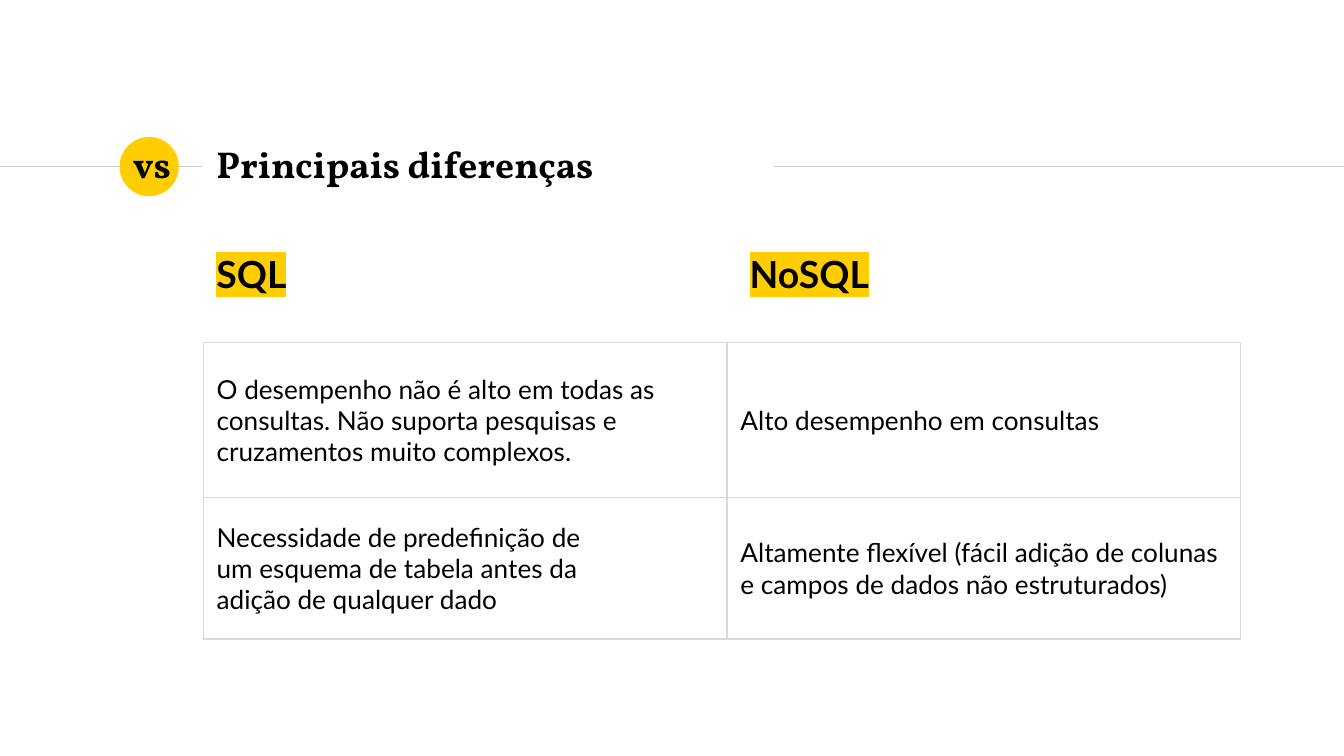
import pptx
import pptx.dml.color
import pptx.enum.shapes
import pptx.enum.text
import pptx.oxml
import pptx.oxml.ns
import pptx.util
from dataclasses import dataclass

Cm = pptx.util.Cm
Anchor = pptx.enum.text.MSO_ANCHOR


@dataclass(frozen=True)
class Theme:
    ink: str = "000000"
    accent: str = "FFCD00"
    rule: str = "CCCCCC"
    border: str = "D9D9D9"
    heading_font: str = "Vollkorn"
    body_font: str = "Lato"
    heading_size: int = 20
    body_size: int = 14
    line_width: float = 0.75


theme = Theme()

# Content
badge_text = "vs"
title_text = "Principais diferenças"
column_titles = ["SQL", "NoSQL"]
comparison = [
    ("O desempenho não é alto em todas as consultas. "
     "Não suporta pesquisas e cruzamentos muito complexos.",
     "Alto desempenho em consultas"),
    ("Necessidade de predefinição de\num esquema de tabela antes da\nadição de qualquer dado",
     "Altamente flexível (fácil adição de colunas e campos de dados não estruturados)"),
]

# Layout in centimetres
slide_width, slide_height = 25.4, 14.29
left = 3.84
rule_y = 3.15
rules = [(0, 3.81), (14.63, slide_width)]
badge_left, badge_size = 2.26, 1.12
column_gap = 10.08
column_widths = [9.9, 9.71]
row_heights = [2.93, 2.67]


def color(value):
    return pptx.dml.color.RGBColor.from_string(value)


def write(frame, text, *, font=theme.body_font, size=theme.body_size,
          bold=False, highlight=None, before=0):
    para = frame.paragraphs[0]
    para.space_before = pptx.util.Pt(before)
    for index, line in enumerate(text.split("\n")):
        if index:
            para.add_line_break()
        span = para.add_run()
        span.text = line
        span.font.name = font
        span.font.size = pptx.util.Pt(size)
        span.font.bold = bold
        span.font.color.rgb = color(theme.ink)
        if highlight:
            mark = pptx.oxml.parse_xml(
                f'<a:highlight {pptx.oxml.ns.nsdecls("a")}>'
                f'<a:srgbClr val="{highlight}"/></a:highlight>')
            fill = span.font._element.find(pptx.oxml.ns.qn("a:solidFill"))
            fill.addnext(mark)


def add_text(page, text, x, y, width, height, *, inset=0.25, anchor=Anchor.TOP, **style):
    box = page.shapes.add_textbox(Cm(x), Cm(y), Cm(width), Cm(height))
    frame = box.text_frame
    frame.word_wrap = True
    frame.vertical_anchor = anchor
    frame.margin_top = frame.margin_bottom = Cm(inset)
    write(frame, text, **style)


def add_borders(cell):
    properties = cell._tc.get_or_add_tcPr()
    width = pptx.util.Pt(theme.line_width)
    for index, side in enumerate(("lnL", "lnR", "lnT", "lnB")):
        properties.insert(index, pptx.oxml.parse_xml(
            f'<a:{side} {pptx.oxml.ns.nsdecls("a")} w="{int(width)}"><a:solidFill>'
            f'<a:srgbClr val="{theme.border}"/></a:solidFill></a:{side}>'))


deck = pptx.Presentation()
deck.slide_width, deck.slide_height = Cm(slide_width), Cm(slide_height)
page = deck.slides.add_slide(deck.slide_layouts[6])

# Title rules
for start, end in rules:
    rule = page.shapes.add_connector(
        pptx.enum.shapes.MSO_CONNECTOR.STRAIGHT, Cm(start), Cm(rule_y), Cm(end), Cm(rule_y))
    rule.line.color.rgb = color(theme.rule)
    rule.line.width = pptx.util.Pt(theme.line_width)
    rule._element.spPr.append(
        pptx.oxml.parse_xml(f'<a:effectLst {pptx.oxml.ns.nsdecls("a")}/>'))

# Badge and title
badge = page.shapes.add_shape(
    pptx.enum.shapes.MSO_SHAPE.OVAL, Cm(badge_left), Cm(rule_y - badge_size / 2),
    Cm(badge_size), Cm(badge_size))
badge.shadow.inherit = False
badge.fill.solid()
badge.fill.fore_color.rgb = color(theme.accent)
badge.line.fill.background()

heading = dict(size=theme.heading_size, bold=True)
add_text(page, title_text, left, 2.49, 10.77, 1.22, anchor=Anchor.MIDDLE,
         font=theme.heading_font, **heading)
add_text(page, badge_text, badge_left, 2.54, 2.59, 1.12, inset=0.13,
         font=theme.heading_font, **heading)

# Column titles
for index, text in enumerate(column_titles):
    add_text(page, text, left + index * column_gap, 4.5, 9.52, 1.45,
             highlight=theme.accent, before=6, **heading)

# Comparison table
table = page.shapes.add_table(
    len(row_heights), len(column_widths), Cm(left), Cm(6.48),
    Cm(sum(column_widths)), Cm(sum(row_heights))).table
table.first_row = table.horz_banding = False
for column, width in zip(table.columns, column_widths):
    column.width = Cm(width)
for row, height, texts in zip(table.rows, row_heights, comparison):
    row.height = Cm(height)
    for cell, text in zip(row.cells, texts):
        cell.fill.background()
        cell.vertical_anchor = Anchor.MIDDLE
        add_borders(cell)
        write(cell.text_frame, text)

deck.save("out.pptx")
